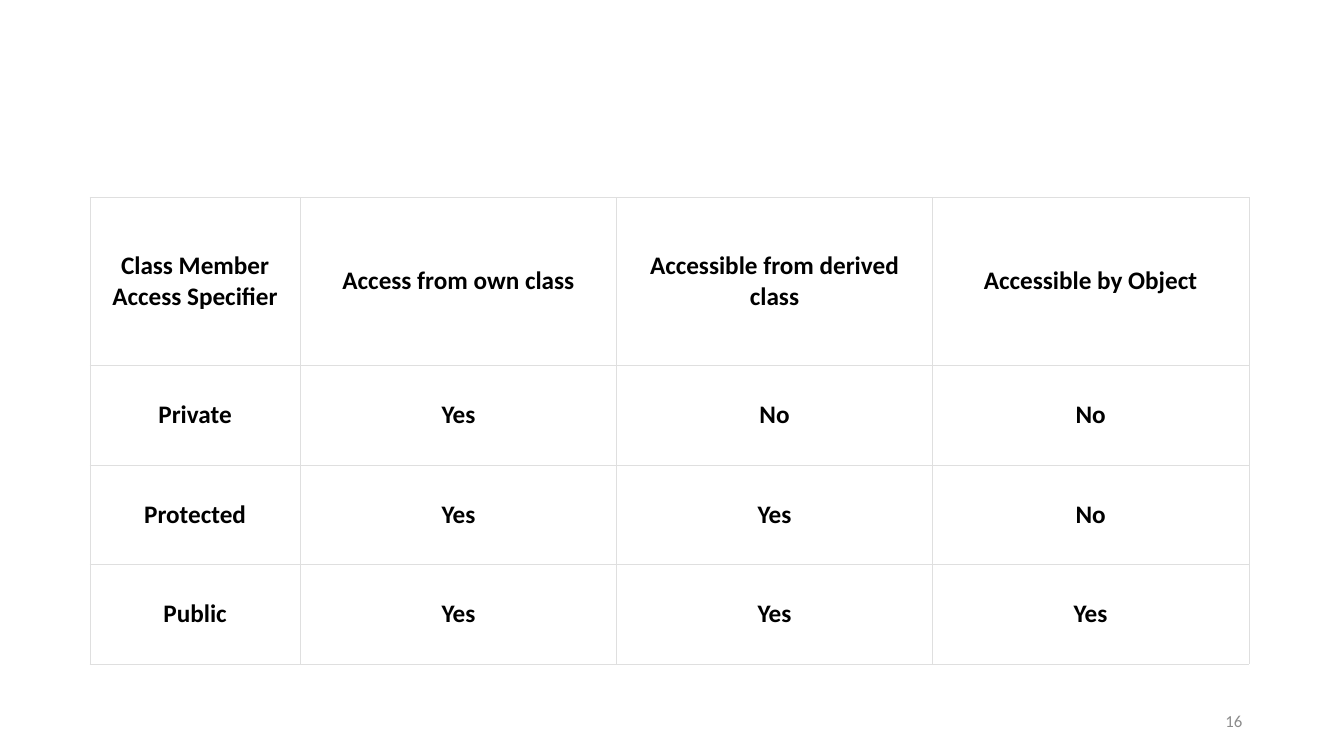
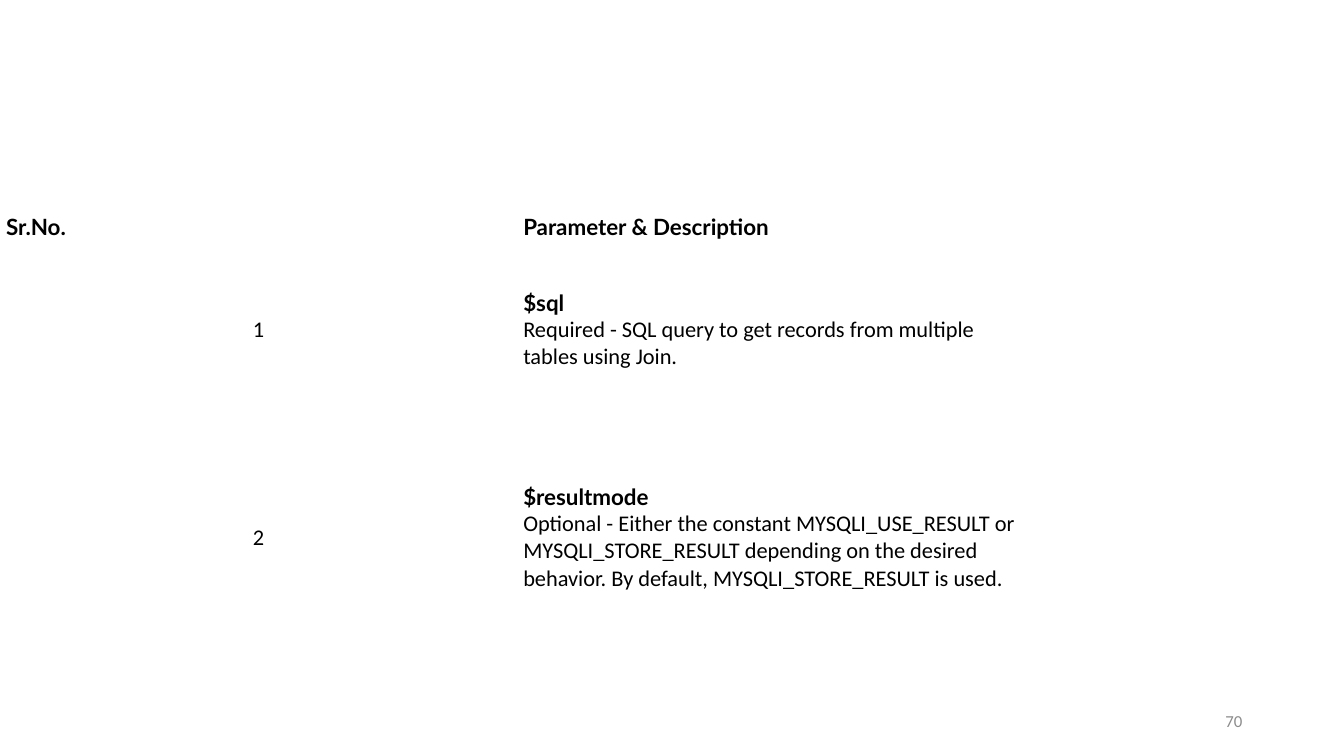
from dataclasses import dataclass

from lxml import etree
from pptx import Presentation
from pptx.dml.color import RGBColor
from pptx.enum.text import MSO_ANCHOR, PP_ALIGN
from pptx.oxml.ns import qn
from pptx.util import Inches, Pt

LEFT, CENTER, RIGHT = PP_ALIGN.LEFT, PP_ALIGN.CENTER, PP_ALIGN.RIGHT
MIDDLE = MSO_ANCHOR.MIDDLE
BLANK_LAYOUT = 6

WHITE, BLACK, GREY, RULE = "FFFFFF", "000000", "8C8C8C", "DFDFDF"
RULE_WIDTH = Pt(0.18)
BODY_FONT = "Calibri"
NUMBER_BOX = (9.42, 6.95, 3, 0.4)


@dataclass
class TextStyle:
    size: int
    font: str = BODY_FONT
    color: str = BLACK
    bold: bool = False
    align: int = LEFT


NUMBER = TextStyle(12, color=GREY, align=RIGHT)
ACCESS = TextStyle(18, bold=True, align=CENTER)
HEADING = TextStyle(16, font="Lato", bold=True)
INDEX = TextStyle(16, align=CENTER)
DETAIL = TextStyle(16)

ACCESS_ROWS = [
    ["Class Member Access Specifier", "Access from own class",
     "Accessible from derived class", "Accessible by Object"],
    ["Private", "Yes", "No", "No"],
    ["Protected", "Yes", "Yes", "No"],
    ["Public", "Yes", "Yes", "Yes"],
]
PARAMETERS = [
    ("$sql", "Required - SQL query to get records from multiple tables using Join."),
    ("$resultmode", "Optional - Either the constant MYSQLI_USE_RESULT or "
     "MYSQLI_STORE_RESULT depending on the desired behavior. "
     "By default, MYSQLI_STORE_RESULT is used."),
]


def rgb(color):
    return RGBColor.from_string(color)


def write(frame, lines):
    """Fill a text frame with (text, style) paragraphs."""
    for position, (text, style) in enumerate(lines):
        para = frame.add_paragraph() if position else frame.paragraphs[0]
        para.text = text
        para.alignment = style.align
        para.font.size = Pt(style.size)
        para.font.name = style.font
        para.font.bold = style.bold
        para.font.color.rgb = rgb(style.color)


def draw_borders(cell, color):
    properties = cell._tc.get_or_add_tcPr()
    for side in ("lnL", "lnR", "lnT", "lnB"):
        line = etree.SubElement(properties, qn(f"a:{side}"), w=str(RULE_WIDTH))
        fill = etree.SubElement(line, qn("a:solidFill"))
        etree.SubElement(fill, qn("a:srgbClr"), val=color)


def add_grid(page, left, top, widths, heights, rows, margin, first_margin, border=None):
    """Place a plain table; each cell is a list of (text, style) paragraphs."""
    table = page.shapes.add_table(
        len(heights), len(widths), Inches(left), Inches(top),
        Inches(sum(widths)), Inches(sum(heights))).table
    table.first_row = table.horz_banding = False
    for column, width in zip(table.columns, widths):
        column.width = Inches(width)
    for row, height, contents in zip(table.rows, heights, rows):
        row.height = Inches(height)
        for position, (cell, lines) in enumerate(zip(row.cells, contents)):
            cell.margin_top = cell.margin_bottom = Inches(margin)
            side_margin = margin if position else first_margin
            cell.margin_left = cell.margin_right = Inches(side_margin)
            cell.vertical_anchor = MIDDLE
            if border:
                draw_borders(cell, border)
            cell.fill.solid()
            cell.fill.fore_color.rgb = rgb(WHITE)
            write(cell.text_frame, lines)


def add_page(deck, number):
    page = deck.slides.add_slide(deck.slide_layouts[BLANK_LAYOUT])
    frame = page.shapes.add_textbox(*map(Inches, NUMBER_BOX)).text_frame
    frame.word_wrap = True
    frame.vertical_anchor = MIDDLE
    write(frame, [(str(number), NUMBER)])
    return page


def add_access_page(deck):
    rows = [[[(text, ACCESS)] for text in row] for row in ACCESS_ROWS]
    add_grid(add_page(deck, 16), 0.89, 1.96, [2.09] + [3.135] * 3,
             [1.66] + [0.99] * 3, rows, 0.07, 0.04, RULE)


def add_parameter_page(deck):
    rows = [[[("Sr.No.", HEADING)], [("Parameter & Description", HEADING)]]]
    for index, (name, detail) in enumerate(PARAMETERS, 1):
        rows.append([[(str(index), INDEX)], [(name, HEADING), (detail, DETAIL)]])
    add_grid(add_page(deck, 70), 0, 1.94, [5.13] * 2,
             [0.63, 1.41, 2.71], rows, 0.06, 0.06)


def main():
    deck = Presentation()
    deck.slide_width, deck.slide_height = Inches(13.33), Inches(7.5)
    add_access_page(deck)
    add_parameter_page(deck)
    deck.save("out.pptx")


if __name__ == "__main__":
    main()
